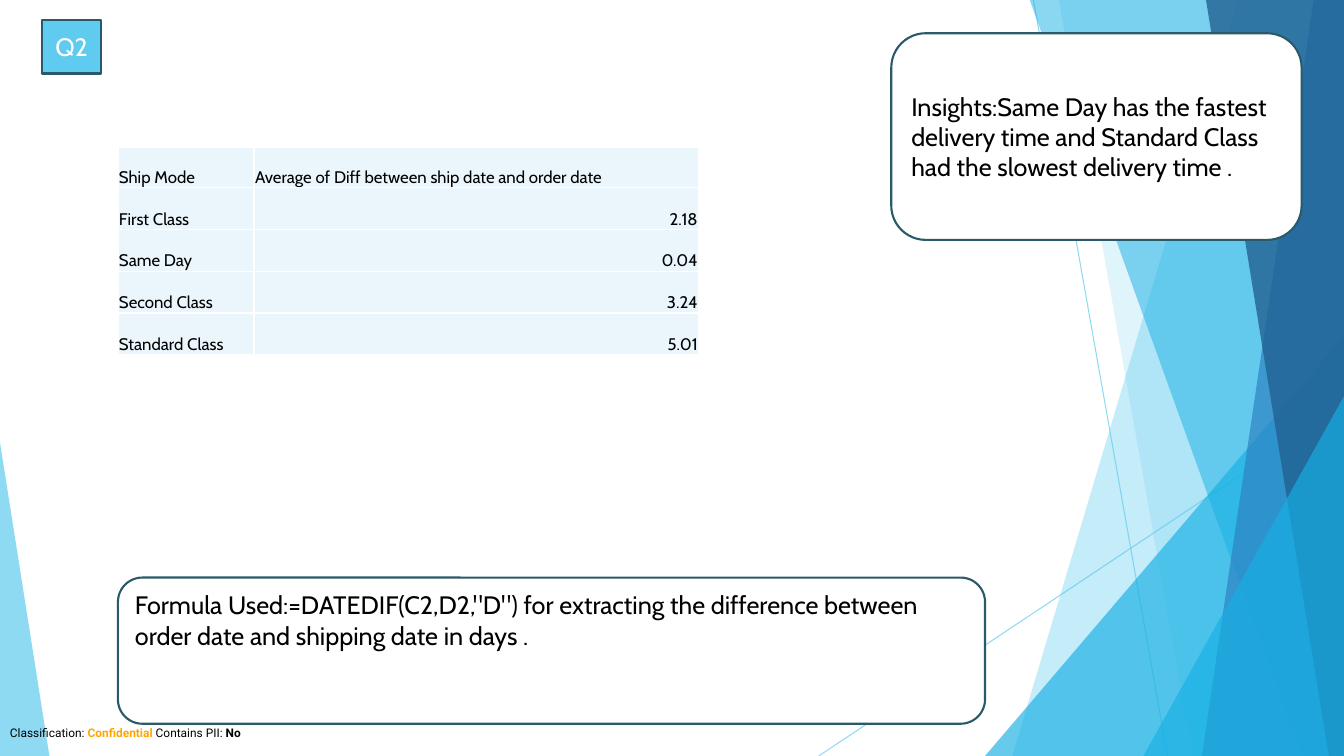
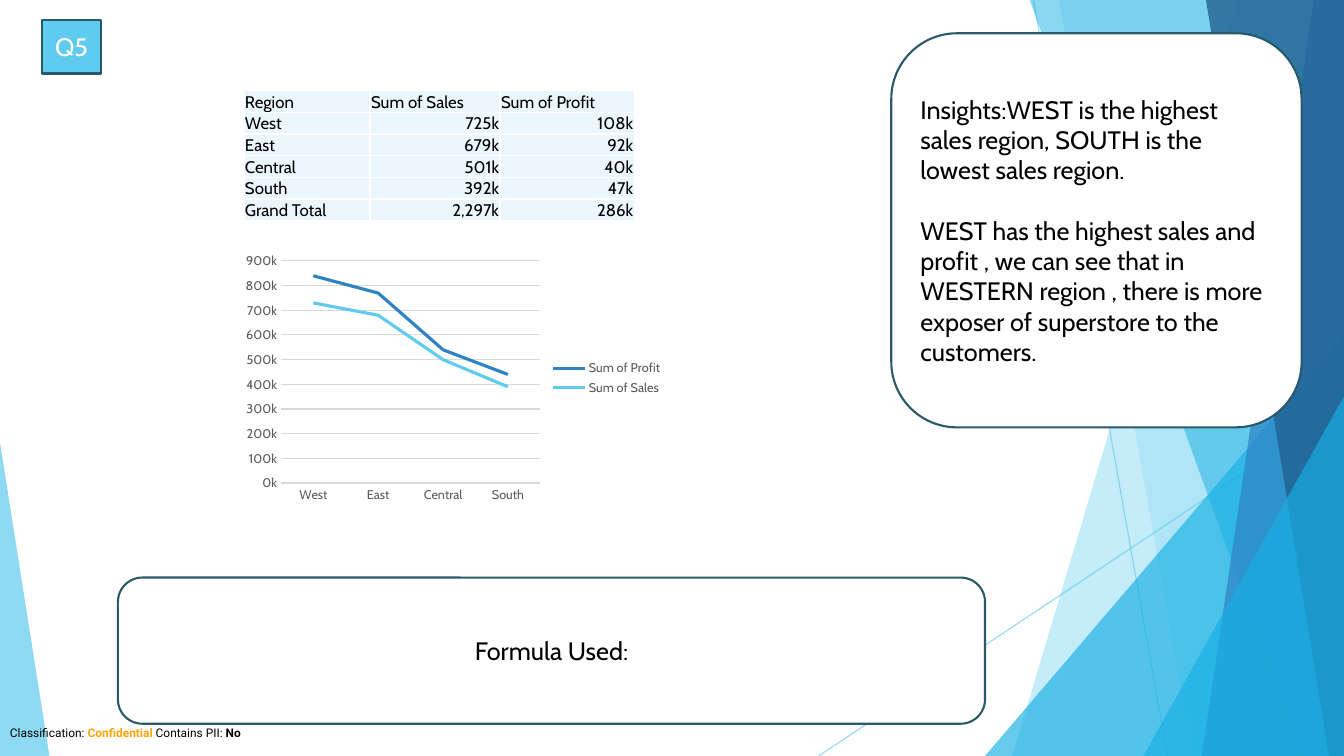
from dataclasses import dataclass

from lxml import etree
from pptx import Presentation
from pptx import util as u
from pptx.chart import data as chart_data
from pptx.dml.color import RGBColor
from pptx.enum import chart as ch, shapes, text
from pptx.oxml.ns import qn


@dataclass(frozen=True)
class Theme:
    # Colours
    sky: str = "5FCBEF"
    cyan: str = "17B0E4"
    blue: str = "2E83C3"
    navy: str = "226292"
    outline: str = "2A5969"
    cell: str = "EAF6FC"
    white: str = "FFFFFF"
    black: str = "000000"
    orange: str = "FFA500"
    axis_text: str = "595959"
    grid: str = "D9D9D9"
    # Fonts and type sizes
    font: str = "Cabin"
    footer_font: str = "Roboto"
    body_size: float = 18
    table_size: float = 12
    chart_size: float = 9
    footer_size: float = 8.5


THEME = Theme()
WIDTH, HEIGHT = 13.33, 7.5
LEFT, CENTER, RIGHT = text.PP_ALIGN.LEFT, text.PP_ALIGN.CENTER, text.PP_ALIGN.RIGHT
TOP, MIDDLE = text.MSO_ANCHOR.TOP, text.MSO_ANCHOR.MIDDLE


# Styling helpers
def rgb(color):
    return RGBColor.from_string(color)


def style_font(font, size, color=THEME.black, name=THEME.font, bold=False):
    font.size = u.Pt(size)
    font.name = name
    font.bold = bold
    font.color.rgb = rgb(color)


def fill_solid(item, color):
    item.fill.solid()
    item.fill.fore_color.rgb = rgb(color)


def set_opacity(shape, percent):
    for color in shape.element.spPr.iter(qn("a:srgbClr")):
        etree.SubElement(color, qn("a:alpha"), val=str(percent * 1000))


# Backdrop
def add_ray(slide, start, end):
    ends = [u.Inches(value) for value in (*start, *end)]
    ray = slide.shapes.add_connector(shapes.MSO_CONNECTOR.STRAIGHT, *ends)
    ray.line.color.rgb = rgb(THEME.sky)
    ray.line.width = u.Pt(0.75)
    set_opacity(ray, 70)
    etree.SubElement(ray.element.spPr, qn("a:effectLst"))


def tint(shape, color, opacity):
    shape.shadow.inherit = False
    fill_solid(shape, color)
    shape.line.fill.background()
    set_opacity(shape, opacity)


def add_facet(slide, top_left, bottom_left, color, opacity):
    """A full-height sheet that reaches the right edge of the slide."""
    corners = [(top_left, -0.01), (WIDTH, -0.01), (WIDTH, HEIGHT), (bottom_left, HEIGHT)]
    points = [(u.Inches(x), u.Inches(y)) for x, y in corners]
    builder = slide.shapes.build_freeform(*points[0])
    builder.add_line_segments(points[1:], close=True)
    tint(builder.convert_to_shape(), color, opacity)


def add_corner(slide, left, top, width, apex, color, opacity):
    """A right triangle that stands on the bottom edge of the slide."""
    box = [u.Inches(value) for value in (left, top, width, HEIGHT - top)]
    corner = slide.shapes.add_shape(shapes.MSO_SHAPE.ISOSCELES_TRIANGLE, *box)
    corner.adjustments[0] = apex
    tint(corner, color, opacity)


def add_backdrop(slide):
    add_ray(slide, (10.25, 0), (11.58, HEIGHT))
    add_ray(slide, (WIDTH, 4.03), (8.12, HEIGHT))
    add_facet(slide, 12.28, 10.04, THEME.sky, 36)
    add_facet(slide, 10.5, 11.83, THEME.sky, 20)
    add_corner(slide, 9.77, 3.33, 3.56, 1, THEME.cyan, 66)
    add_facet(slide, 10.21, 12.91, THEME.cyan, 50)
    add_facet(slide, 13.03, 11.92, THEME.blue, 70)
    add_facet(slide, 11.96, 13.18, THEME.navy, 80)
    add_corner(slide, 11.34, 3.93, 1.99, 1, THEME.cyan, 66)
    add_corner(slide, 0, 4.39, 0.49, 0, THEME.sky, 70)


def add_footer(slide):
    box = [u.Inches(value) for value in (0, 7.15, WIDTH, 0.24)]
    frame = slide.shapes.add_textbox(*box).text_frame
    frame.word_wrap = True
    parts = [
        ("Classification: ", THEME.black, False),
        ("Confidential", THEME.orange, True),
        (" Contains PII: ", THEME.black, False),
        ("No", THEME.black, True),
    ]
    for words, color, bold in parts:
        run = frame.paragraphs[0].add_run()
        run.text = words
        style_font(run.font, THEME.footer_size, color, THEME.footer_font, bold)


# Boxes with text
def add_box(slide, kind, at, fill, paragraphs, color=THEME.black,
            align=LEFT, anchor=MIDDLE):
    box = slide.shapes.add_shape(kind, *[u.Inches(value) for value in at])
    box.shadow.inherit = False
    fill_solid(box, fill)
    box.line.color.rgb = rgb(THEME.outline)
    box.line.width = u.Pt(1.5)
    frame = box.text_frame
    frame.word_wrap = True
    frame.vertical_anchor = anchor
    frame.text = "\n".join(paragraphs)
    for index, paragraph in enumerate(frame.paragraphs):
        paragraph.alignment = align
        paragraph.space_before = u.Pt(21.6 if index else 0)
        style_font(paragraph.runs[0].font, THEME.body_size, color)


def add_badge(slide, label):
    add_box(slide, shapes.MSO_SHAPE.RECTANGLE, (0.42, 0.2, 0.58, 0.53),
            THEME.sky, [label], THEME.white, CENTER)


def add_insights(slide, height, paragraphs):
    add_box(slide, shapes.MSO_SHAPE.ROUNDED_RECTANGLE, (8.84, 0.33, 4.07, height),
            THEME.white, paragraphs)


def add_formula(slide, words, align=LEFT, anchor=MIDDLE):
    add_box(slide, shapes.MSO_SHAPE.ROUNDED_RECTANGLE, (1.17, 5.73, 8.6, 1.45),
            THEME.white, [words], align=align, anchor=anchor)


# Table
def set_borders(cell):
    properties = cell._tc.get_or_add_tcPr()
    for index, side in enumerate(("a:lnL", "a:lnR", "a:lnT", "a:lnB")):
        border = etree.Element(qn(side), w=str(u.Pt(1)))
        solid = etree.SubElement(border, qn("a:solidFill"))
        etree.SubElement(solid, qn("a:srgbClr"), val=THEME.white)
        properties.insert(index, border)


def fill_cell(cell, words, align):
    cell.margin_left = cell.margin_right = cell.margin_top = u.Inches(0.01)
    cell.margin_bottom = 0
    cell.vertical_anchor = text.MSO_ANCHOR.BOTTOM
    fill_solid(cell, THEME.cell)
    set_borders(cell)
    cell.text = words
    paragraph = cell.text_frame.paragraphs[0]
    paragraph.alignment = align
    style_font(paragraph.runs[0].font, THEME.table_size)


def add_data_table(slide, left, top, widths, heights, rows):
    box = [u.Inches(value) for value in (left, top, sum(widths), sum(heights))]
    table = slide.shapes.add_table(len(rows), len(widths), *box).table
    table.first_row = table.horz_banding = False
    for column, width in zip(table.columns, widths):
        column.width = u.Inches(width)
    for row, height in zip(table.rows, heights):
        row.height = u.Inches(height)
    for r, values in enumerate(rows):
        for c, value in enumerate(values):
            fill_cell(table.cell(r, c), value, RIGHT if r and c else LEFT)


# Chart
def add_region_chart(slide, categories, series):
    data = chart_data.CategoryChartData()
    data.categories = categories
    for name, values, _ in series:
        data.add_series(name, values)
    box = [u.Inches(value) for value in (2.35, 2.46, 4.32, 2.58)]
    chart = slide.shapes.add_chart(ch.XL_CHART_TYPE.LINE_STACKED, *box, data).chart
    chart.has_title = False
    style_font(chart.font, THEME.chart_size, THEME.axis_text)

    chart.has_legend = True
    chart.legend.position = ch.XL_LEGEND_POSITION.RIGHT
    chart.legend.include_in_layout = False
    style_font(chart.legend.font, THEME.chart_size, THEME.axis_text)

    for axis in (chart.category_axis, chart.value_axis):
        axis.major_tick_mark = axis.minor_tick_mark = ch.XL_TICK_MARK.NONE
        style_font(axis.tick_labels.font, THEME.chart_size, THEME.axis_text)
    value_axis = chart.value_axis
    value_axis.minimum_scale, value_axis.maximum_scale = 0, 900000
    value_axis.major_unit = 100000
    value_axis.tick_labels.number_format = '#,##0,"k"'
    value_axis.tick_labels.number_format_is_linked = False
    value_axis.format.line.fill.background()
    for rule in (chart.category_axis.format.line,
                 value_axis.major_gridlines.format.line):
        rule.color.rgb = rgb(THEME.grid)
        rule.width = u.Pt(0.75)

    plot = chart.plots[0]
    plot.vary_by_categories = False
    for line, (_, _, color) in zip(plot.series, series):
        line.smooth = False
        line.format.line.color.rgb = rgb(color)
        line.format.line.width = u.Pt(2.25)


# Slides
def new_slide(presentation, label):
    slide = presentation.slides.add_slide(presentation.slide_layouts[6])
    add_backdrop(slide)
    add_footer(slide)
    add_badge(slide, label)
    return slide


def build_delivery_slide(presentation):
    slide = new_slide(presentation, "Q2")
    add_insights(slide, 2.05, [
        "Insights:Same Day has the fastest delivery time and Standard Class "
        "had the slowest delivery time ."])
    add_formula(slide, 'Formula Used:=DATEDIF(C2,D2,"D") for extracting the '
                'difference between order date and shipping date in days .', anchor=TOP)
    rows = [
        ("Ship Mode", "Average of Diff between ship date and order date"),
        ("First Class", "2.18"),
        ("Same Day", "0.04"),
        ("Second Class", "3.24"),
        ("Standard Class", "5.01"),
    ]
    header = 0.4
    heights = [header] + [(2.06 - header) / 4] * 4
    add_data_table(slide, 1.17, 1.46, (1.35, 4.41), heights, rows)


def build_region_slide(presentation):
    slide = new_slide(presentation, "Q5")
    add_insights(slide, 3.91, [
        "Insights:WEST is the highest sales region, SOUTH is the lowest sales region.",
        "WEST has the highest sales and profit , we can see that in WESTERN region , "
        "there is more exposer of superstore to the customers."])
    add_formula(slide, "Formula Used:", align=CENTER)
    rows = [
        ("Region", "Sum of Sales", "Sum of Profit"),
        ("West", "725k", "108k"),
        ("East", "679k", "92k"),
        ("Central", "501k", "40k"),
        ("South", "392k", "47k"),
        ("Grand Total", "2,297k", "286k"),
    ]
    add_data_table(slide, 2.42, 0.9, (1.25, 1.29, 1.33),
                   [1.29 / len(rows)] * len(rows), rows)
    add_region_chart(slide, [row[0] for row in rows[1:-1]], [
        ("Sum of Sales", (730000, 680000, 500000, 390000), THEME.sky),
        ("Sum of Profit", (110000, 90000, 40000, 50000), THEME.blue),
    ])


def main():
    presentation = Presentation()
    presentation.slide_width = u.Inches(WIDTH)
    presentation.slide_height = u.Inches(HEIGHT)
    build_delivery_slide(presentation)
    build_region_slide(presentation)
    presentation.save("out.pptx")


if __name__ == "__main__":
    main()
